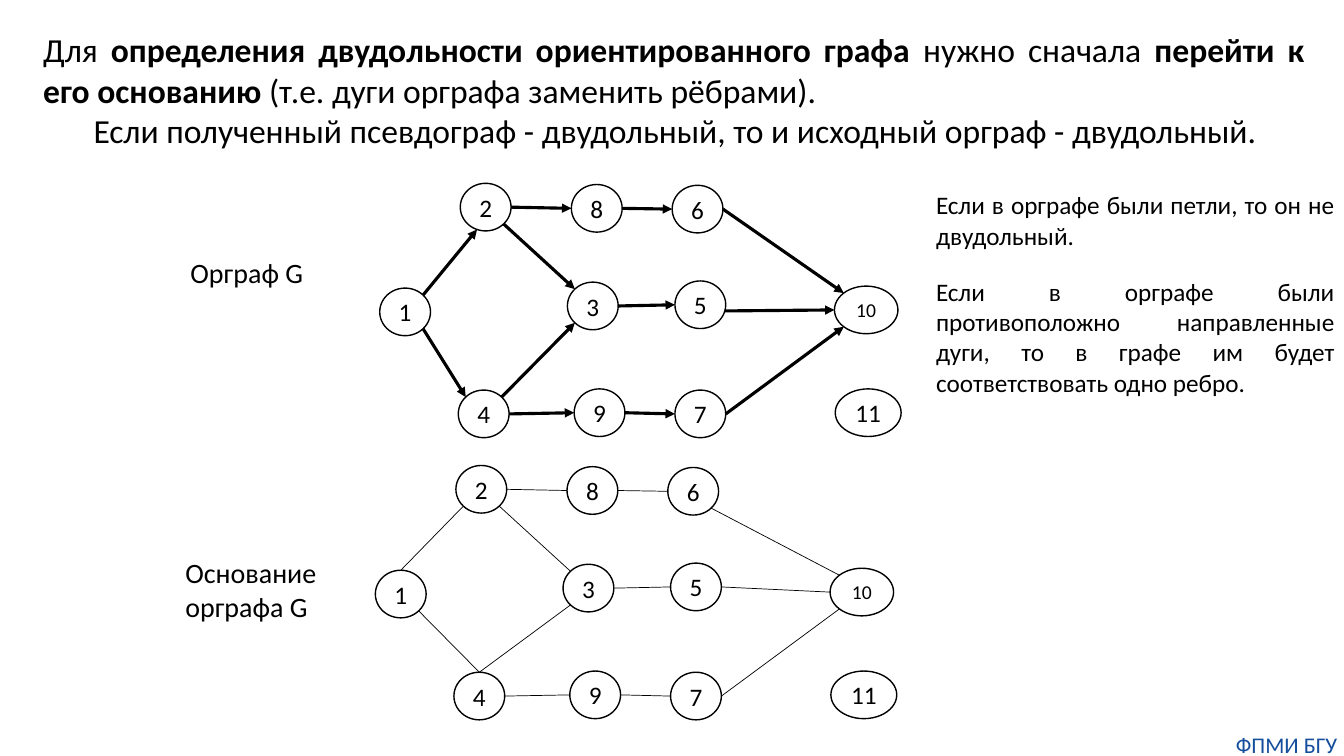
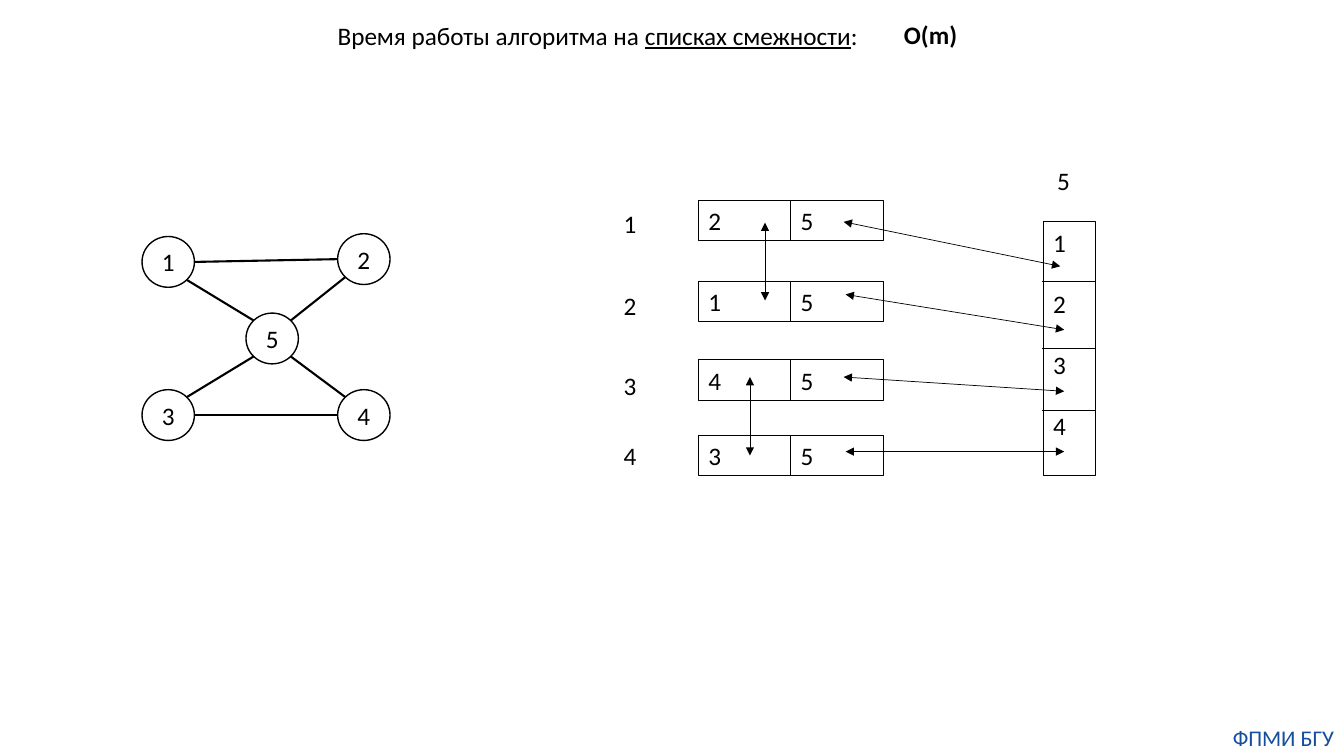
from dataclasses import dataclass, field
from math import cos, radians, sin
from typing import Any

from lxml.etree import SubElement
from pptx import Presentation
from pptx.dml.color import RGBColor
from pptx.enum.shapes import MSO_CONNECTOR as Connector, MSO_SHAPE as Shape
from pptx.enum.text import MSO_ANCHOR as Anchor, PP_ALIGN as Align
from pptx.oxml.ns import qn
from pptx.util import Cm, Pt

BLACK = "000000"
BLUE = "144E9D"
FONT = "Calibri"
ARROW_ENDS = {"none": (), "end": ("a:tailEnd",), "both": ("a:headEnd", "a:tailEnd")}
EAST, SE, SOUTH, SW, WEST, NW, NORTH, NE = range(0, 360, 45)


@dataclass(frozen=True)
class Span:
    text: str
    format: dict[str, Any] = field(default_factory=dict)


@dataclass(frozen=True)
class Para:
    spans: tuple[Span, ...]
    align: Any = Align.LEFT
    level: int = 0
    left: float = 0
    before: float = 0


@dataclass(frozen=True)
class Label:
    left: float
    top: float
    width: float
    height: float
    paras: tuple[Para, ...]
    size: float = 18
    color: str = BLACK
    wrap: bool = True
    inset: tuple[float, float] = (0.25, 0.13)


@dataclass(frozen=True)
class Node:
    x: float
    y: float
    rx: float = 0.64
    ry: float = 0.6
    size: float = 18


@dataclass(frozen=True)
class Edge:
    start: int
    start_angle: float
    end: int
    end_angle: float


@dataclass(frozen=True)
class Stroke:
    width: float
    arrows: str = "none"


THIN = Stroke(0.5)
DOUBLE_ARROW = Stroke(0.5, "both")

DIGRAPH_NODES = {
    1: Node(10.21, 7.86),
    2: Node(12.24, 5.22),
    3: Node(14.94, 7.71),
    4: Node(12.19, 10.43),
    5: Node(17.65, 7.68),
    6: Node(17.58, 5.27),
    7: Node(17.65, 10.43),
    8: Node(15.04, 5.25),
    9: Node(15.11, 10.4),
    10: Node(21.83, 7.81, rx=0.8, size=14),
    11: Node(21.88, 10.4, rx=0.83),
}
SHARED_EDGES = (
    Edge(2, EAST, 8, WEST),
    Edge(8, EAST, 6, WEST),
    Edge(3, EAST, 5, WEST),
    Edge(4, EAST, 9, WEST),
    Edge(9, EAST, 7, WEST),
    Edge(2, SE, 3, NW),
    Edge(7, EAST, 10, SW),
)
ARCS = SHARED_EDGES + (
    Edge(1, NE, 2, 110),
    Edge(1, SE, 4, NW),
    Edge(4, NE, 3, SW),
    Edge(6, EAST, 10, NW),
    Edge(5, 15, 10, WEST),
)
BASE_EDGES = SHARED_EDGES + (
    Edge(1, NORTH, 2, SW),
    Edge(1, SE, 4, NORTH),
    Edge(4, NORTH, 3, SW),
    Edge(6, SE, 10, NW),
    Edge(5, EAST, 10, WEST),
)

SMALL_NODES = {
    number: Node(x, y, rx=0.66, ry=0.64)
    for number, (x, y) in enumerate(
        [(4.24, 6.6), (9.17, 6.53), (4.24, 10.46), (9.17, 10.46), (6.86, 8.53)], 1
    )
}
SMALL_EDGES = (
    Edge(1, EAST, 2, WEST),
    Edge(2, SW, 5, NE),
    Edge(5, SW, 3, NE),
    Edge(3, EAST, 4, WEST),
    Edge(5, SE, 4, NW),
    Edge(1, SE, 5, NW),
)


def rgb(value: str) -> RGBColor:
    return RGBColor.from_string(value)


def plain(text: str, align: Any = Align.LEFT, **format_values: Any) -> tuple[Para, ...]:
    return (Para((Span(text, format_values),), align),)


def write_text(shape: Any, label: Label, anchor: Any = Anchor.TOP) -> None:
    frame = shape.text_frame
    across, down = (Cm(value) for value in label.inset)
    frame_format = {
        "word_wrap": label.wrap,
        "vertical_anchor": anchor,
        "margin_left": across,
        "margin_right": across,
        "margin_top": down,
        "margin_bottom": down,
    }
    for name, value in frame_format.items():
        setattr(frame, name, value)
    for index, item in enumerate(label.paras):
        para = frame.add_paragraph() if index else frame.paragraphs[0]
        para.alignment = item.align
        para.level = item.level
        if item.before:
            para.space_before = Pt(item.before)
        if item.left:
            properties = para._p.get_or_add_pPr()
            properties.set("marL", str(Cm(item.left)))
            properties.set("indent", "0")
        for span in item.spans:
            run = para.add_run()
            run.text = span.text
            run.font.color.rgb = rgb(label.color)
            font_format = {"name": FONT, "size": Pt(label.size), **span.format}
            for name, value in font_format.items():
                setattr(run.font, name, value)


def add_label(page: Any, label: Label) -> None:
    bounds = (label.left, label.top, label.width, label.height)
    write_text(page.shapes.add_textbox(*map(Cm, bounds)), label)


def add_outline(page: Any, kind: Any, label: Label, width: float, anchor: Any = Anchor.TOP) -> None:
    bounds = (label.left, label.top, label.width, label.height)
    shape = page.shapes.add_shape(kind, *map(Cm, bounds))
    shape.shadow.inherit = False
    shape.fill.background()
    shape.line.color.rgb = rgb(BLACK)
    shape.line.width = Pt(width)
    write_text(shape, label, anchor)


def add_line(page: Any, start: tuple[float, float], end: tuple[float, float], stroke: Stroke) -> None:
    line = page.shapes.add_connector(Connector.STRAIGHT, *map(Cm, (*start, *end)))
    line.line.color.rgb = rgb(BLACK)
    line.line.width = Pt(stroke.width)
    for tag in ARROW_ENDS[stroke.arrows]:
        SubElement(line.line._get_or_add_ln(), qn(tag), type="triangle")
    SubElement(line._element.spPr, qn("a:effectLst"))


def add_graph(
    page: Any,
    nodes: dict[int, Node],
    edges: tuple[Edge, ...],
    stroke: Stroke,
    shift: tuple[float, float] = (0, 0),
) -> None:
    """Draw edges between points on the node outlines, then the numbered nodes."""

    def rim(number: int, angle: float) -> tuple[float, float]:
        node, turn = nodes[number], radians(angle)
        return (
            node.x + shift[0] + node.rx * cos(turn),
            node.y + shift[1] + node.ry * sin(turn),
        )

    for edge in edges:
        add_line(page, rim(edge.start, edge.start_angle), rim(edge.end, edge.end_angle), stroke)
    for number, node in nodes.items():
        label = Label(
            node.x + shift[0] - node.rx,
            node.y + shift[1] - node.ry,
            2 * node.rx,
            2 * node.ry,
            plain(str(number), Align.CENTER),
            size=node.size,
            wrap=False,
            inset=(0, 0),
        )
        add_outline(page, Shape.OVAL, label, 1, Anchor.MIDDLE)


def add_page(deck: Any, footer_left: float, footer_top: float) -> Any:
    page = deck.slides.add_slide(deck.slide_layouts[6])
    footer = plain("ФПМИ БГУ", Align.CENTER)
    add_label(page, Label(footer_left, footer_top, 2.87, 0.69, footer, 16, BLUE, inset=(0, 0)))
    return page


def build_bipartite_page(deck: Any) -> None:
    page = add_page(deck, 30.99, 18.42)
    strong = {"bold": True}
    rule = Para(
        (
            Span("Для "),
            Span("определения двудольности ориентированного графа ", strong),
            Span("нужно сначала "),
            Span("перейти к его основанию ", strong),
            Span("(т.е. дуги орграфа заменить рёбрами)."),
        ),
        Align.JUSTIFY,
    )
    result = Span("Если полученный псевдограф - двудольный, то и исходный орграф - двудольный.")
    conclusion = Para((result,), Align.JUSTIFY, level=1, left=1.27)
    loops = "Если в орграфе были петли, то он не двудольный."
    opposite = (
        "Если в орграфе были противоположно направленные дуги, "
        "то в графе им будет соответствовать одно ребро."
    )
    for label in (
        Label(0.84, 0.61, 32.28, 3.33, (rule, conclusion), 24),
        Label(4.55, 6.32, 3.38, 1.12, plain("Орграф G"), 20, wrap=False),
        Label(4.42, 13.87, 4.57, 1.96, plain("Основание орграфа G"), 20),
        Label(23.34, 4.65, 10.54, 1.8, plain(loops, Align.JUSTIFY)),
        Label(23.34, 6.83, 10.54, 3.33, plain(opposite, Align.JUSTIFY)),
    ):
        add_label(page, label)
    add_graph(page, DIGRAPH_NODES, ARCS, Stroke(2.25, "end"))
    add_graph(page, DIGRAPH_NODES, BASE_EDGES, THIN, shift=(-0.11, 7.11))


def build_adjacency_page(deck: Any) -> None:
    page = add_page(deck, 30.91, 18.26)
    title = Para(
        (
            Span("Время работы алгоритма на "),
            Span("списках смежности", {"underline": True}),
            Span(":"),
        )
    )
    add_label(page, Label(8.26, 0.38, 13.77, 1.02, (title,), wrap=False))
    add_label(page, Label(22.53, 0.36, 2.01, 1.02, plain("О(m)", bold=True), wrap=False))
    add_graph(page, SMALL_NODES, SMALL_EDGES, Stroke(1.5))

    rows = ((5.11, 5.05, "25"), (7.19, 7.09, "15"), (9.19, 9.07, "45"), (10.97, 10.97, "35"))
    for number, (label_top, row_top, neighbours) in enumerate(rows, 1):
        add_label(page, Label(15.47, label_top, 0.84, 1.02, plain(str(number)), wrap=False))
        for column, neighbour in enumerate(neighbours):
            cell = Label(17.6 + 2.33 * column, row_top, 2.33, 1.02, plain(neighbour))
            add_outline(page, Shape.RECTANGLE, cell, 0.75)

    add_label(page, Label(26.39, 4.04, 0.84, 1.02, plain("5"), wrap=False))
    numbers = tuple(Para((Span(str(n)),), before=22 if n > 1 else 0) for n in range(1, 5))
    add_outline(page, Shape.RECTANGLE, Label(26.29, 5.59, 1.32, 6.4, numbers), 0.75)
    for y in (7.09, 8.79, 10.34):
        add_line(page, (26.27, y), (27.6, y), THIN)

    for start, end in (
        ((21.26, 5.59), (26.72, 6.71)),
        ((21.31, 7.42), (26.82, 8.31)),
        ((21.26, 9.5), (26.82, 9.86)),
        ((21.31, 11.38), (26.82, 11.38)),
        ((19.28, 5.61), (19.28, 7.57)),
        ((18.9, 9.5), (18.9, 11.48)),
    ):
        add_line(page, start, end, DOUBLE_ARROW)


def main() -> None:
    deck = Presentation()
    deck.slide_width, deck.slide_height = Cm(33.87), Cm(19.05)
    build_bipartite_page(deck)
    build_adjacency_page(deck)
    deck.save("out.pptx")


if __name__ == "__main__":
    main()
